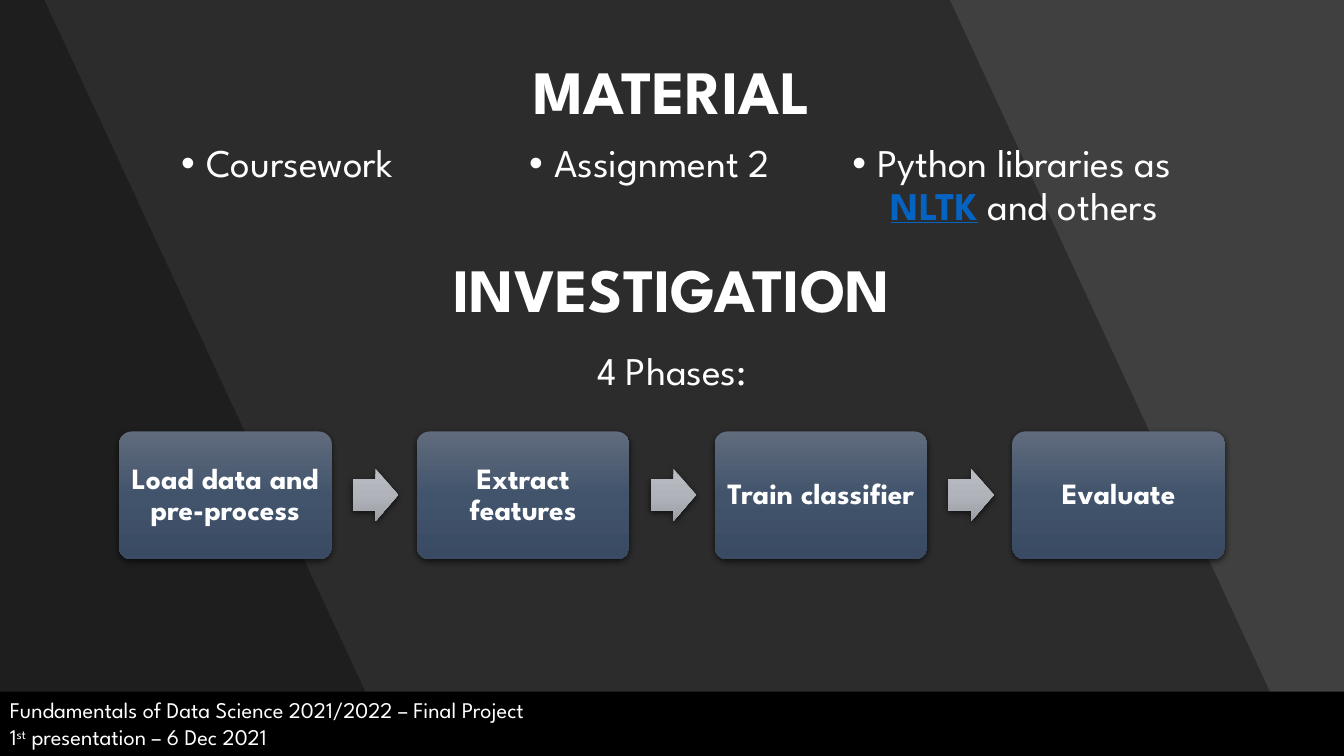
from copy import deepcopy

from lxml.etree import SubElement
from pptx import Presentation
from pptx.dml.color import RGBColor
from pptx.enum.shapes import MSO_SHAPE
from pptx.enum.text import MSO_ANCHOR, PP_ALIGN
from pptx.oxml.ns import qn
from pptx.util import Inches, Pt

W, H = Inches(13.33), Inches(7.5)
FONT = "League Spartan"
COLORS = {"background": "404040", "black": "000000", "white": "FFFFFF", "link": "0563C1"}
BOX_STOPS = {0: "606B7D", 0.5: "42546C", 1: "394A62"}
ARROW_STOPS = {0: "BABDC2", 0.5: "B0B3BA", 1: "9C9FA6"}

TITLE = {"size": Pt(44), "bold": True}
BODY = {"size": Pt(28)}
LINK = {"size": Pt(28), "bold": True, "underline": True}
PHASE = {"size": Pt(21), "bold": True}
FOOTER = {"size": Pt(16)}
CENTERED = {"alignment": PP_ALIGN.CENTER, "line_spacing": 0.9}
SPACED = {**CENTERED, "space_before": Pt(10)}

PHASES = ["Load data and pre-process", "Extract features", "Train classifier", "Evaluate"]
PHASE_LEFT, PHASE_STEP, ARROW_OFFSET = 8.85, 22.16, 17.4


def place(left, top, width, height):
    """Turn percentages of the slide's size into lengths."""
    return tuple(round(size * share / 100)
                 for size, share in zip((W, H, W, H), (left, top, width, height)))


def apply(target, formats):
    for name, value in formats.items():
        setattr(target, name, value)


def fill_solid(sp, color, alpha=None):
    sp.shadow.inherit = False
    sp.line.fill.background()
    sp.fill.solid()
    sp.fill.fore_color.rgb = RGBColor.from_string(COLORS[color])
    if alpha is not None:
        rgb = sp.fill._xPr.find(qn("a:solidFill"))[0]
        SubElement(rgb, qn("a:alpha"), val=str(alpha * 1000))


def fill_gradient(sp, stops):
    """Fill from top to bottom with three stops."""
    sp.line.fill.background()
    sp.fill.gradient()
    sp.fill.gradient_angle = 270
    stop_list = sp._element.spPr.find(qn("a:gradFill")).find(qn("a:gsLst"))
    stop_list.append(deepcopy(stop_list[0]))
    for stop, (position, color) in zip(sp.fill.gradient_stops, stops.items()):
        stop.position = position
        stop.color.rgb = RGBColor.from_string(color)


def add_soft_shadow(sp):
    sp.shadow.inherit = False
    effects = sp._element.spPr.find(qn("a:effectLst"))
    shadow = SubElement(effects, qn("a:outerShdw"), blurRad=str(Pt(4.5)), dist=str(Pt(1.5)),
                        dir="5400000", algn="ctr", rotWithShape="0")
    rgb = SubElement(shadow, qn("a:srgbClr"), val=COLORS["black"])
    SubElement(rgb, qn("a:alpha"), val="63000")


def add_run(p, text, formats, color="white", baseline=None):
    r = p.add_run()
    r.text = text
    apply(r.font, {"name": FONT, **formats})
    r.font.color.rgb = RGBColor.from_string(COLORS[color])
    if baseline:
        r.font._element.set("baseline", str(baseline * 1000))


def write(tf, paragraphs, p_formats):
    """Write paragraphs, each a list of argument tuples for add_run."""
    tf.word_wrap = True
    for i, runs in enumerate(paragraphs):
        p = tf.add_paragraph() if i else tf.paragraphs[0]
        apply(p, p_formats)
        for run in runs:
            add_run(p, *run)


def add_text(s, box, paragraphs, p_formats, anchor=MSO_ANCHOR.TOP):
    tf = s.shapes.add_textbox(*place(*box)).text_frame
    tf.vertical_anchor = anchor
    write(tf, paragraphs, p_formats)
    return tf


def add_title(s, text, top, height):
    add_text(s, (25, top, 50, height), [[(text, TITLE)]], CENTERED, MSO_ANCHOR.MIDDLE)


def add_slanted_panel(s, top_right, bottom_right):
    corners = [place(x, y, 0, 0)[:2]
               for x, y in ((0, 0), (top_right, 0), (bottom_right, 100), (0, 100))]
    builder = s.shapes.build_freeform(*corners[0])
    builder.add_line_segments(corners[1:], close=True)
    fill_solid(builder.convert_to_shape(), "black", 30)


def add_materials(s):
    items = [
        [("Coursework", BODY)],
        [("Assignment 2", BODY)],
        [("Python libraries as ", BODY), ("NLTK", LINK, "link"), (" and others", BODY)],
    ]
    tf = add_text(s, (7.13, 18.4, 82.37, 13.07), items, SPACED)
    tf._txBody.bodyPr.set("numCol", "3")
    for p in tf.paragraphs:
        pPr = p._p.get_or_add_pPr()
        pPr.set("marL", str(Inches(0.25)))
        pPr.set("indent", str(-Inches(0.25)))
        SubElement(pPr, qn("a:buFont"), typeface="Arial")
        SubElement(pPr, qn("a:buChar"), char="•")


def add_phase(s, text, left):
    sp = s.shapes.add_shape(MSO_SHAPE.ROUNDED_RECTANGLE, *place(left, 57.07, 15.83, 16.93))
    sp.adjustments[0] = 0.1
    fill_gradient(sp, BOX_STOPS)
    add_soft_shadow(sp)
    tf = sp.text_frame
    tf.vertical_anchor = MSO_ANCHOR.MIDDLE
    apply(tf, dict.fromkeys(("margin_left", "margin_top", "margin_right", "margin_bottom"),
                            Inches(0.08)))
    write(tf, [[(text, PHASE)]], CENTERED)


def add_phase_arrow(s, left):
    sp = s.shapes.add_shape(MSO_SHAPE.RIGHT_ARROW, *place(left, 62, 3.38, 6.93))
    sp.adjustments[0] = 0.6
    fill_gradient(sp, ARROW_STOPS)
    add_soft_shadow(sp)


def add_footer(s):
    sp = s.shapes.add_shape(MSO_SHAPE.RECTANGLE, *place(0, 91.47, 100, 8.53))
    fill_solid(sp, "black")
    sp.text_frame.vertical_anchor = MSO_ANCHOR.TOP
    write(sp.text_frame, [
        [("Fundamentals of Data Science 2021/2022 – Final Project", FOOTER)],
        [("1", FOOTER), ("st", FOOTER, "white", 30), (" presentation – 6 Dec 2021", FOOTER)],
    ], {"alignment": PP_ALIGN.LEFT})


def main():
    prs = Presentation()
    prs.slide_width, prs.slide_height = W, H
    s = prs.slides.add_slide(prs.slide_layouts[6])
    s.background.fill.solid()
    s.background.fill.fore_color.rgb = RGBColor.from_string(COLORS["background"])

    add_slanted_panel(s, 70.67, 96.7)
    add_slanted_panel(s, 3.3, 29.41)
    add_materials(s)
    add_title(s, "MATERIAL", 2.8, 19.33)
    add_footer(s)
    add_title(s, "INVESTIGATION", 31.47, 14.53)
    add_text(s, (29.26, 45.87, 41.48, 8.53), [[("4 Phases:", BODY)]], SPACED)
    for i, phase in enumerate(PHASES):
        left = PHASE_LEFT + i * PHASE_STEP
        add_phase(s, phase, left)
        if i < len(PHASES) - 1:
            add_phase_arrow(s, left + ARROW_OFFSET)

    prs.save("out.pptx")


if __name__ == "__main__":
    main()
